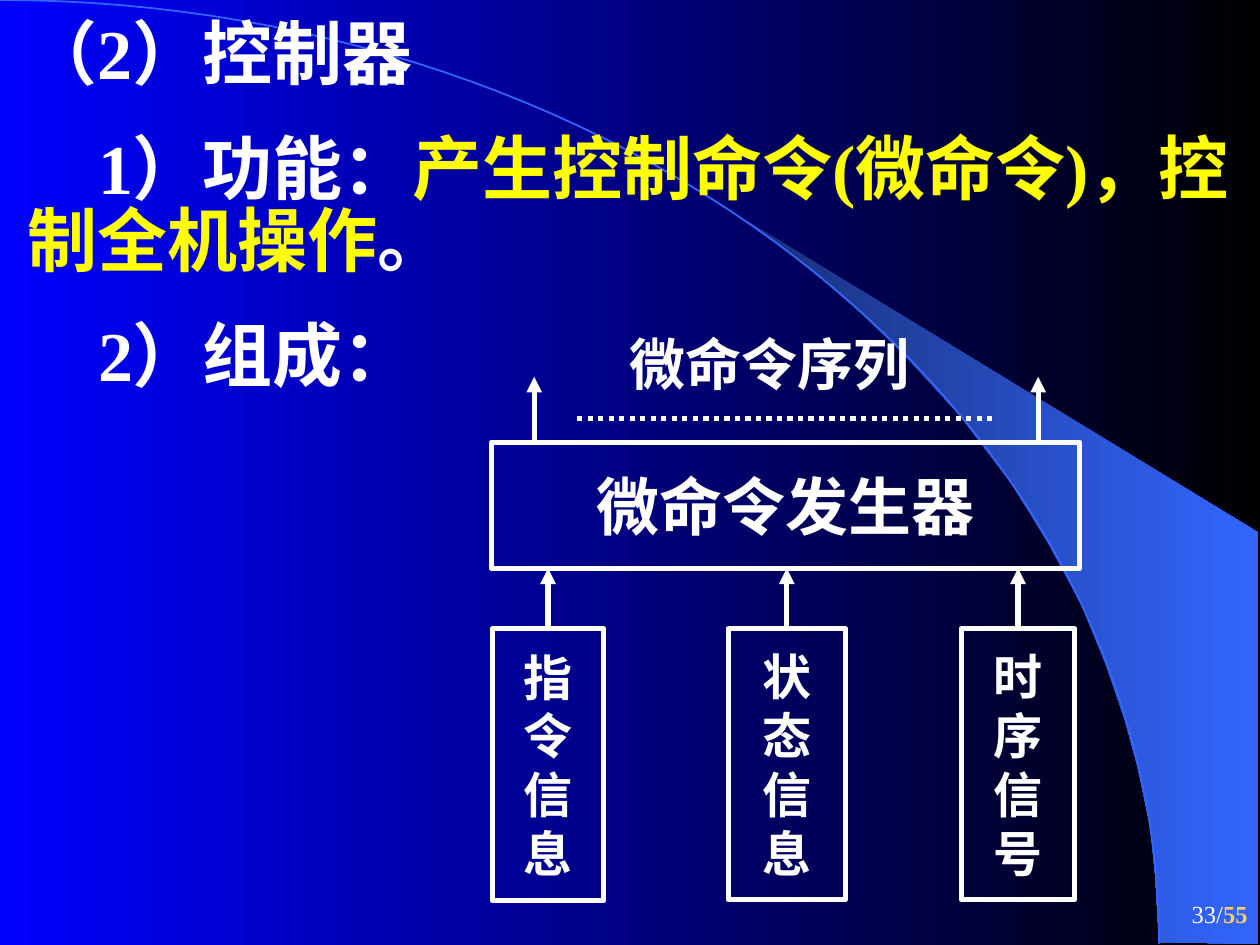
from math import cos, pi, sin

from lxml.etree import SubElement
from pptx import Presentation
from pptx.dml.color import RGBColor
from pptx.enum.dml import MSO_LINE
from pptx.enum.shapes import MSO_CONNECTOR as Link, MSO_SHAPE as Shape
from pptx.enum.text import MSO_ANCHOR as Anchor, PP_ALIGN as Align
from pptx.oxml.ns import qn
from pptx.util import Inches, Pt

WHITE = RGBColor(0xFF, 0xFF, 0xFF)
YELLOW = RGBColor(0xFF, 0xFF, 0x00)
GOLD = RGBColor(0xFF, 0xCC, 0x66)
BLUE = RGBColor(0x00, 0x00, 0xFF)
BLACK = RGBColor(0x00, 0x00, 0x00)
NAVY = RGBColor(0x18, 0x2F, 0x76)
SKY = RGBColor(0x33, 0x66, 0xFF)
FONT = "Times New Roman"

BAND = [(9.2, 7.48), (9.99, 7.49), (9.99, 4.23), (5.89, 1.73), (6.24, 1.99),
        (6.53, 2.22), (6.85, 2.5), (7.16, 2.8), (7.62, 3.3), (8.03, 3.84),
        (8.32, 4.31), (8.58, 4.79), (8.78, 5.28), (8.93, 5.72), (9.03, 6.09),
        (9.13, 6.56), (9.17, 6.96)]
INPUTS = [("指令信息", 3.91, 0.88, 2.16), ("状态信息", 5.78, 0.93, 2.15),
          ("时序信号", 7.63, 0.9, 2.15)]
BODY = [(0, [("（2）控制器", WHITE)]),
        (0.56, [("1）功能：", WHITE), ("产生控制命令(微命令)，控制全机操作", YELLOW),
                ("。", WHITE)]),
        (0.56, [("2）组成：", WHITE)])]


def add_span(para, text, size, color=WHITE, bold=True):
    """Add one formatted run to a paragraph."""
    span = para.add_run()
    span.text = text
    span.font.name, span.font.size = FONT, Pt(size)
    span.font.bold, span.font.color.rgb = bold, color


def paint_gradient(fill, start, end):
    """Fill with a left-to-right gradient of two colours."""
    fill.gradient()
    fill.gradient_angle = 0
    for stop, color in zip(fill.gradient_stops, (start, end)):
        stop.color.rgb = color


def add_outline(page, points, close):
    """Build a freeform through points given in inches."""
    corners = [(Inches(x), Inches(y)) for x, y in points]
    builder = page.shapes.build_freeform(*corners[0])
    builder.add_line_segments(corners[1:], close=close)
    outline = builder.convert_to_shape()
    outline.shadow.inherit = False
    return outline


def add_backdrop(page, width, height):
    """Paint the background, the light band and the quarter arc."""
    paint_gradient(page.background.fill, BLUE, BLACK)
    band = add_outline(page, BAND, True)
    paint_gradient(band.fill, NAVY, SKY)
    band.line.fill.background()
    angles = [step * pi / 120 for step in range(61)]
    arc = add_outline(page, [(width * sin(a), height * (1 - cos(a))) for a in angles], False)
    arc.fill.background()
    arc.line.color.rgb, arc.line.width = SKY, Pt(1)


def add_text_box(page, left, top, width, height):
    """Add a wrapping text box and return its text frame."""
    box = page.shapes.add_textbox(Inches(left), Inches(top), Inches(width), Inches(height))
    box.text_frame.word_wrap = True
    return box.text_frame


def add_body(page, left, top, width, height):
    """Write the outline text."""
    frame = add_text_box(page, left, top, width, height)
    for index, (indent, spans) in enumerate(BODY):
        para = frame.add_paragraph() if index else frame.paragraphs[0]
        para.line_spacing = 0.85
        if index:
            para.space_before = Pt(25)
        para._p.get_or_add_pPr().set("indent", str(Inches(indent)))
        for text, color in spans:
            add_span(para, text, 40, color)


def add_block(page, lines, size, left, top, width, height):
    """Draw a white-edged rectangle with centred lines of text."""
    block = page.shapes.add_shape(Shape.RECTANGLE, Inches(left), Inches(top),
                                  Inches(width), Inches(height))
    block.shadow.inherit = False
    block.fill.background()
    block.line.color.rgb, block.line.width = WHITE, Pt(3)
    frame = block.text_frame
    frame.word_wrap, frame.vertical_anchor = False, Anchor.MIDDLE
    for index, text in enumerate(lines):
        para = frame.add_paragraph() if index else frame.paragraphs[0]
        para.alignment = Align.CENTER
        add_span(para, text, size)
    return block


def add_line(page, start_x, start_y, end_x, end_y, arrow=True):
    """Draw a white line, with an arrowhead at its end if wanted."""
    line = page.shapes.add_connector(Link.STRAIGHT, start_x, start_y, end_x, end_y)
    line.line.color.rgb, line.line.width = WHITE, Pt(3)
    if arrow:
        SubElement(line.line._get_or_add_ln(), qn("a:tailEnd"), type="triangle")
    SubElement(line._element.spPr, qn("a:effectLst"))
    return line


def add_diagram(page, left, top, width, height):
    """Draw the generator with its inputs below and outputs above."""
    generator = add_block(page, ["微命令发生器"], 36, left, top, width, height)
    bottom = generator.top + generator.height
    for label, box_left, box_width, box_height in INPUTS:
        block = add_block(page, label, 28, box_left, top + 1.48, box_width, box_height)
        center = block.left + block.width // 2
        arrow = add_line(page, center, block.top, center, bottom)
        arrow.begin_connect(block, 0)
    for offset in (0.34, 4.34):
        center = Inches(left + offset)
        add_line(page, center, generator.top, center, Inches(top - 0.52))
    dots_y = Inches(top - 0.19)
    dots = add_line(page, Inches(left + 0.68), dots_y, Inches(left + 4.01), dots_y, arrow=False)
    dots.line.dash_style = MSO_LINE.ROUND_DOT
    caption = add_text_box(page, left + 1, top - 0.94, 2.64, 0.64)
    add_span(caption.paragraphs[0], "微命令序列", 32)


def add_page_number(page, left, top, width, height):
    """Write the page count in the corner."""
    frame = add_text_box(page, left, top, width, height)
    frame.vertical_anchor = Anchor.MIDDLE
    para = frame.paragraphs[0]
    para.alignment = Align.RIGHT
    add_span(para, "33/", 14, bold=False)
    add_span(para, "55", 14, GOLD)


def main():
    """Build the slide and save it."""
    deck = Presentation()
    deck.slide_width, deck.slide_height = Inches(10), Inches(7.5)
    page = deck.slides.add_slide(deck.slide_layouts[6])
    add_backdrop(page, 9.2, 7.49)
    add_body(page, 0.12, 0.13, 10, 3.06)
    add_diagram(page, 3.9, 3.51, 4.67, 1)
    add_page_number(page, 7.92, 7, 2.08, 0.5)
    deck.save("out.pptx")


if __name__ == "__main__":
    main()
